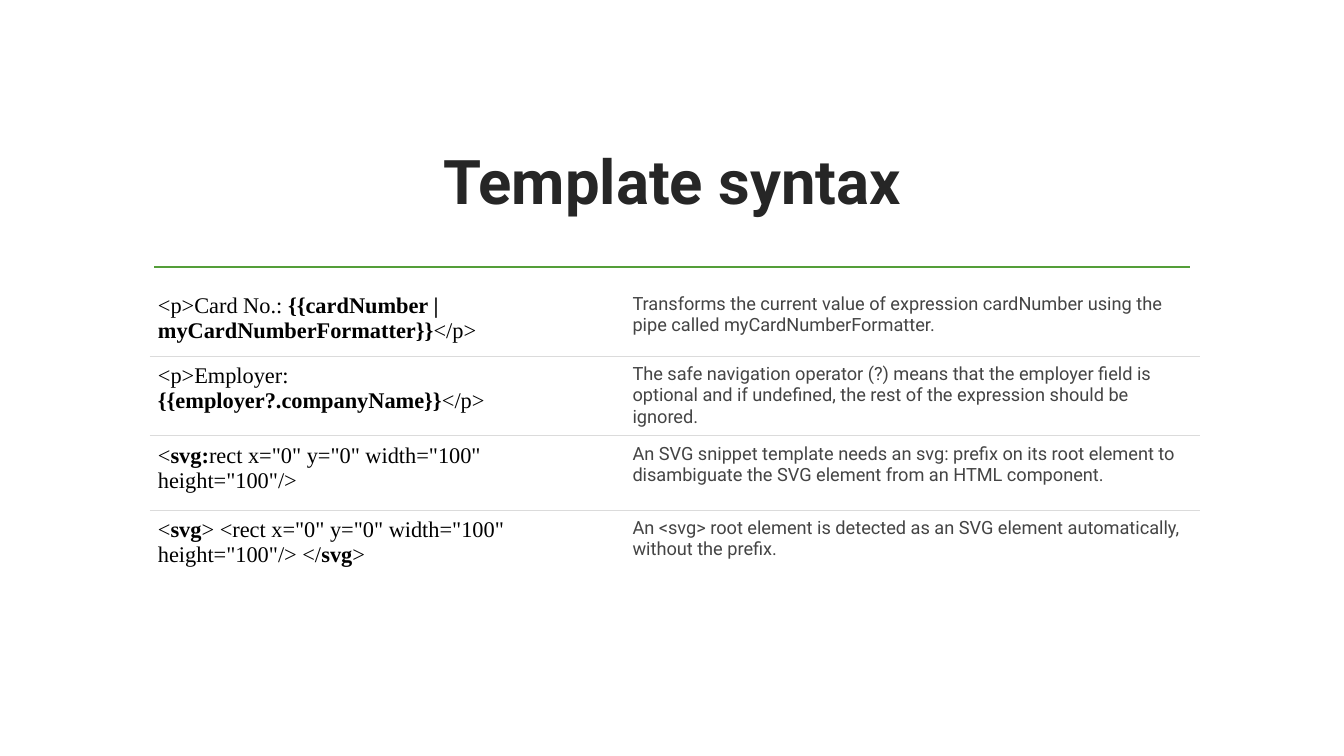
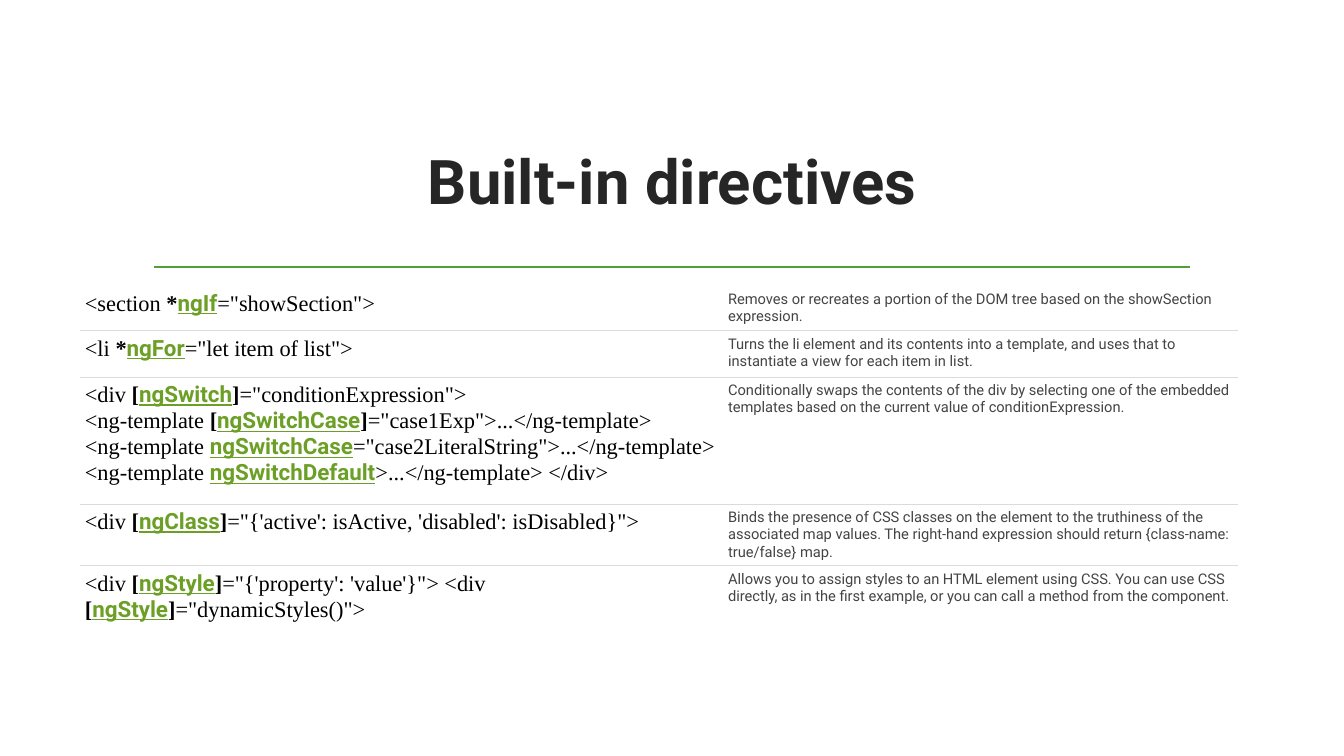
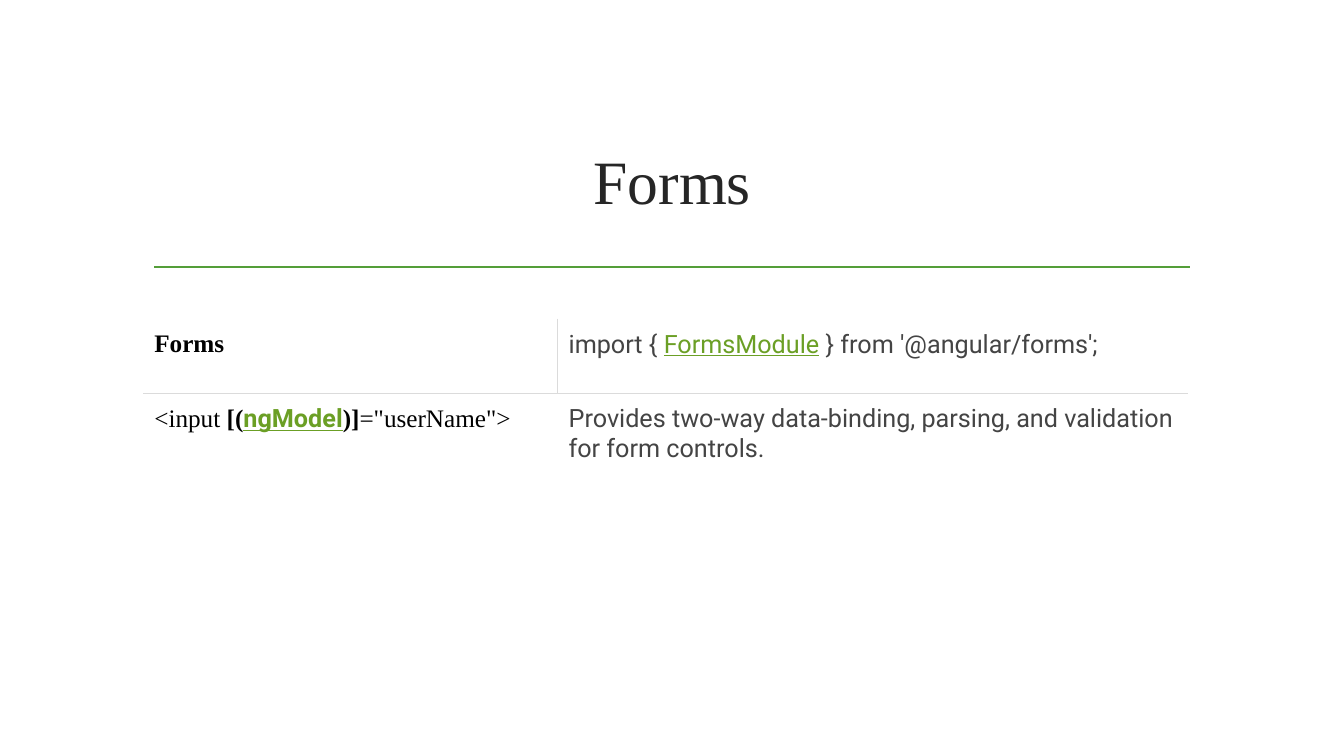
from pptx import Presentation
from pptx.dml.color import RGBColor
from pptx.enum.shapes import MSO_CONNECTOR
from pptx.enum.text import MSO_ANCHOR, PP_ALIGN
from pptx.oxml import parse_xml
from pptx.oxml.ns import nsdecls, qn
from pptx.util import Cm, Pt

LINE = MSO_CONNECTOR.STRAIGHT
MIDDLE = MSO_ANCHOR.MIDDLE
CENTER = PP_ALIGN.CENTER
PLAIN = "{2D5ABB26-0587-4C30-8999-92F81FD0307C}"
SERIF = "Times New Roman"
SANS = "Roboto"
HEX = {
    "title": "262626",
    "rule": "549E39",
    "code": "000000",
    "note": "444444",
    "link": "6B9F25",
    "grid": "DBDBDB",
    "cell": "FFFFFF",
}

code = {"font": SERIF, "color": "code"}
bold = {**code, "bold": True}
note = {"font": SANS, "color": "note"}
name = {"font": SANS, "color": "link", "under": True}
link = {**name, "bold": True}


def put(par, text, font, size, color, bold=False, under=False):
    run = par.add_run()
    run.text = text
    run.font.name = font
    run.font.size = Pt(size)
    run.font.color.rgb = RGBColor.from_string(HEX[color])
    run.font.bold = bold
    run.font.underline = under


def edge(cell, sides):
    props = cell._tc.get_or_add_tcPr()
    for spot, side in enumerate(sides):
        props.insert(spot, parse_xml(
            f'<a:ln{side} {nsdecls("a")} w="6350"><a:solidFill>'
            f'<a:srgbClr val="{HEX["grid"]}"/></a:solidFill></a:ln{side}>'))


pages = [
    {
        "title": "Template syntax", "font": SANS, "bold": True,
        "at": (3.78, 7.19), "cols": (11.96, 14.5),
        "rows": (1.78, 1.75, 1.88, 2.03),
        "inset": 0.2, "sizes": (16, 13), "split": False,
        "cells": [
            ([[("<p>Card No.: ", code),
               ("{{cardNumber | myCardNumberFormatter}}", bold),
               ("</p>", code)]],
             "Transforms the current value of expression cardNumber using the pipe called myCardNumberFormatter."),
            ([[("<p>Employer: ", code),
               ("{{employer?.companyName}}", bold),
               ("</p>", code)]],
             "The safe navigation operator (?) means that the employer field is optional and if undefined, the rest of the expression should be ignored."),
            ([[("<", code), ("svg:", bold),
               ('rect x="0" y="0" width="100" height="100"/>', code)]],
             "An SVG snippet template needs an svg: prefix on its root element to disambiguate the SVG element from an HTML component."),
            ([[("<", code), ("svg", bold),
               ('> <rect x="0" y="0" width="100" height="100"/> </', code),
               ("svg", bold), (">", code)]],
             "An <svg> root element is detected as an SVG element automatically, without the prefix."),
        ],
    },
    {
        "title": "Built-in directives", "font": SANS, "bold": True,
        "at": (2.01, 7.19), "cols": (16.21, 12.98),
        "rows": (1.14, 1.17, 3.2, 1.14, 1.93),
        "inset": 0.13, "sizes": (16, 10.5), "split": False,
        "cells": [
            ([[("<section ", code), ("*", bold), ("ngIf", link),
               ('="showSection">', code)]],
             "Removes or recreates a portion of the DOM tree based on the showSection expression."),
            ([[("<li ", code), ("*", bold), ("ngFor", link),
               ('="let item of list">', code)]],
             "Turns the li element and its contents into a template, and uses that to instantiate a view for each item in list."),
            ([[("<div ", code), ("[", bold), ("ngSwitch", link), ("]", bold),
               ('="conditionExpression">', code)],
              [("<ng-template ", code), ("[", bold), ("ngSwitchCase", link),
               ("]", bold), ('="case1Exp">...</ng-template>', code)],
              [("<ng-template ", code), ("ngSwitchCase", link),
               ('="case2LiteralString">...</ng-template>', code)],
              [("<ng-template ", code), ("ngSwitchDefault", link),
               (">...</ng-template> </div>", code)]],
             "Conditionally swaps the contents of the div by selecting one of the embedded templates based on the current value of conditionExpression."),
            ([[("<div ", code), ("[", bold), ("ngClass", link), ("]", bold),
               ("=\"{'active': isActive, 'disabled': isDisabled}\">", code)]],
             "Binds the presence of CSS classes on the element to the truthiness of the associated map values. The right-hand expression should return {class-name: true/false} map."),
            ([[("<div ", code), ("[", bold), ("ngStyle", link), ("]", bold),
               ("=\"{'property': 'value'}\"> <div ", code),
               ("[", bold), ("ngStyle", link), ("]", bold),
               ('="dynamicStyles()">', code)]],
             "Allows you to assign styles to an HTML element using CSS. You can use CSS directly, as in the first example, or you can call a method from the component."),
        ],
    },
    {
        "title": "Forms", "font": SERIF, "bold": False,
        "at": (3.61, 8.03), "cols": (10.44, 15.88), "rows": (1.88, 2.79),
        "inset": 0.28, "sizes": (18, 18), "split": True,
        "cells": [
            ([[("Forms", bold)]],
             [[("import { ", note), ("FormsModule", name),
               (" } from '@angular/forms';", note)]]),
            ([[("<input ", code), ("[(", bold), ("ngModel", link),
               (")]", bold), ('="userName">', code)]],
             "Provides two-way data-binding, parsing, and validation for form controls."),
        ],
    },
]

deck = Presentation()
deck.slide_width = Cm(33.87)
deck.slide_height = Cm(19.05)
base = deck.slide_layouts[5]

for page in pages:
    slide = deck.slides.add_slide(base)
    head = slide.shapes.title
    head.left, head.top = Cm(3.61), Cm(2.72)
    head.width, head.height = Cm(26.67), Cm(3.63)
    head.text_frame.vertical_anchor = MIDDLE
    par = head.text_frame.paragraphs[0]
    par.alignment = CENTER
    put(par, page["title"], page["font"], 44, "title", page["bold"])

    rule = slide.shapes.add_connector(LINE, Cm(3.89), Cm(6.73), Cm(30), Cm(6.73))
    rule.line.color.rgb = RGBColor.from_string(HEX["rule"])
    rule.line.width = Pt(1.25)
    rule._element.spPr.append(parse_xml(f'<a:effectLst {nsdecls("a")}/>'))

    left, top = page["at"]
    cols, rows = page["cols"], page["rows"]
    frame = slide.shapes.add_table(
        len(rows), len(cols), Cm(left), Cm(top), Cm(sum(cols)), Cm(sum(rows)))
    table = frame.table
    table.first_row = table.horz_banding = False
    table._tbl.tblPr.find(qn("a:tableStyleId")).text = PLAIN
    for col, width in zip(table.columns, cols):
        col.width = Cm(width)
    for row, height in zip(table.rows, rows):
        row.height = Cm(height)

    for y, pair in enumerate(page["cells"]):
        for x, lines in enumerate(pair):
            cell = table.cell(y, x)
            cell.fill.solid()
            cell.fill.fore_color.rgb = RGBColor.from_string(HEX["cell"])
            cell.margin_left = cell.margin_right = Cm(page["inset"])
            cell.margin_top = cell.margin_bottom = Cm(page["inset"])
            if isinstance(lines, str):
                lines = [[(lines, note)]]
            for spot, line in enumerate(lines):
                body = cell.text_frame
                par = body.add_paragraph() if spot else body.paragraphs[0]
                for text, style in line:
                    put(par, text, size=page["sizes"][x], **style)
            sides = ""
            if page["split"] and y == 0:
                sides += "L" if x else "R"
            if y > 0:
                sides += "T"
            if y < len(rows) - 1:
                sides += "B"
            edge(cell, sides)

deck.save("out.pptx")
